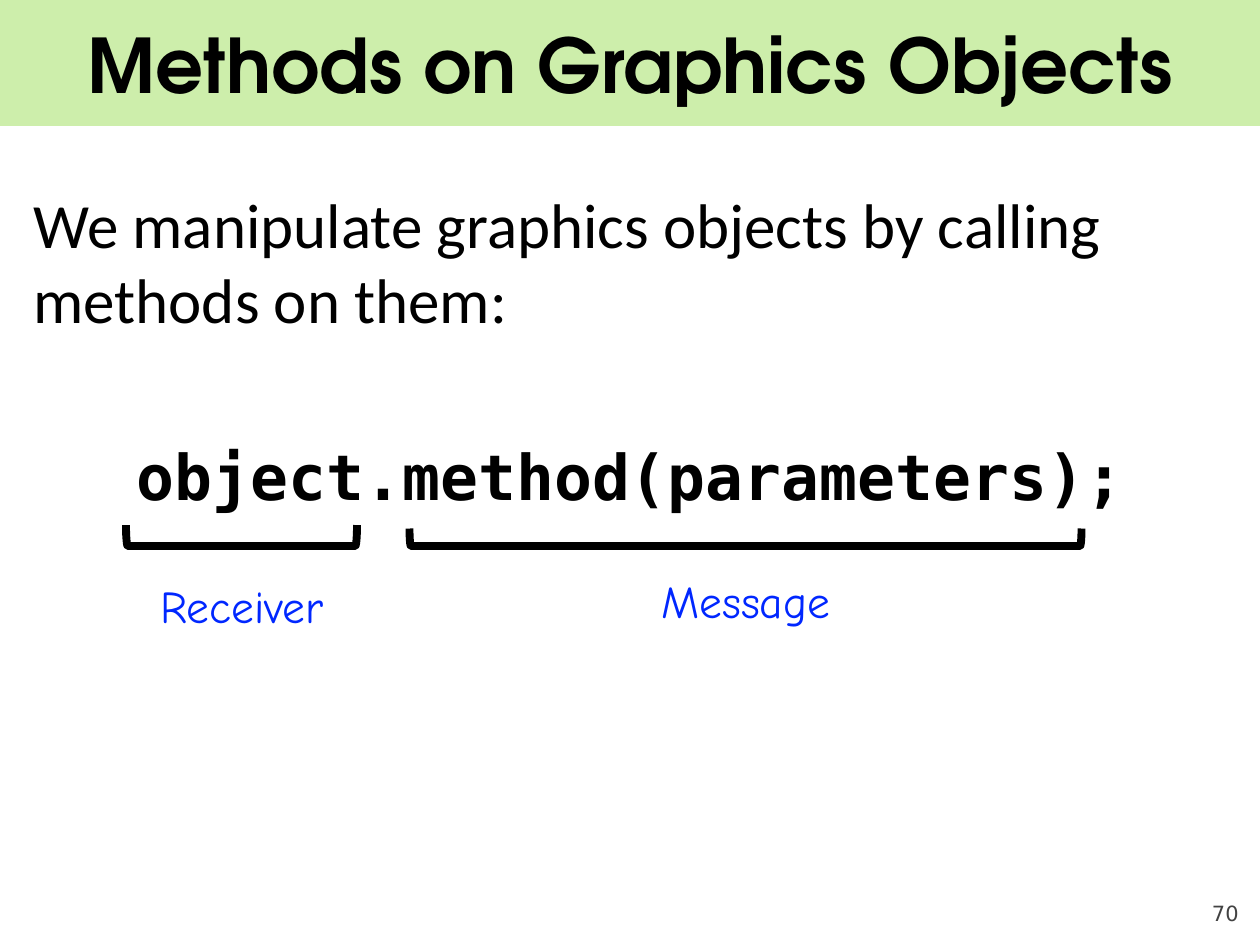
from pptx import Presentation
from pptx.dml.color import RGBColor
from pptx.enum.shapes import MSO_SHAPE as Kind
from pptx.enum.text import MSO_ANCHOR as Anchor, PP_ALIGN as Align
from pptx.util import Pt


def color(code):
    return RGBColor.from_string(code)


def write(para, text, font="Calibri", size=36, ink="000000", bold=False,
          align=Align.LEFT, before=0):
    """Put one formatted run of text in a paragraph."""
    para.alignment = align
    para.space_before = Pt(before)
    run = para.add_run()
    run.text = text
    run.font.name = font
    run.font.size = Pt(size)
    run.font.bold = bold
    run.font.color.rgb = color(ink)


class Page:
    band = "CDEEAB"
    ink = "000000"
    label_style = dict(font="Comic Neue", size=26, ink="0027FF",
                       align=Align.CENTER)

    def __init__(self, deck):
        self.slide = deck.slides.add_slide(deck.slide_layouts[6])

    def shape(self, kind, left, top, width, height):
        item = self.slide.shapes.add_shape(
            kind, Pt(left), Pt(top), Pt(width), Pt(height))
        item.shadow.inherit = False
        return item

    def banner(self, width, height):
        item = self.shape(Kind.RECTANGLE, 0, 0, width, height)
        item.fill.solid()
        item.fill.fore_color.rgb = color(self.band)
        item.line.fill.background()

    def text(self, left, top, width, height, *parts, anchor=Anchor.TOP,
             inset=None):
        """Add a box with one paragraph for each (text, format) pair."""
        box = self.slide.shapes.add_textbox(
            Pt(left), Pt(top), Pt(width), Pt(height))
        frame = box.text_frame
        frame.word_wrap = True
        frame.vertical_anchor = anchor
        if inset is not None:
            frame.margin_left = frame.margin_right = Pt(inset)
            frame.margin_top = frame.margin_bottom = Pt(inset)
        for i, (words, style) in enumerate(parts):
            para = frame.add_paragraph() if i else frame.paragraphs[0]
            write(para, words, **style)

    def bracket(self, left, top, width, height):
        """Draw a bracket that opens upwards, given its visible bounds."""
        item = self.shape(Kind.LEFT_BRACKET, left + (width - height) / 2,
                          top + (height - width) / 2, height, width)
        item.rotation = 270
        item.fill.background()
        item.line.color.rgb = color(self.ink)
        item.line.width = Pt(4.5)

    def label(self, left, top, words):
        self.text(left, top, 167, 39, (words, self.label_style))


def main():
    deck = Presentation()
    deck.slide_width, deck.slide_height = Pt(720), Pt(540)
    page = Page(deck)

    page.banner(720, 72)
    page.text(36, 0, 648, 72,
              ("Methods on Graphics Objects",
               dict(font="TeX Gyre Adventor", size=43, bold=True,
                    align=Align.CENTER)),
              anchor=Anchor.MIDDLE)
    page.text(12, 102.2, 696, 408,
              ("We manipulate graphics objects by calling methods on them:",
               {}),
              ("object.method(parameters);",
               dict(font="DejaVu Sans Mono", bold=True, align=Align.CENTER,
                    before=58)))

    page.bracket(72, 300, 132, 12)
    page.bracket(234, 302, 384, 10)
    page.label(54.7, 327, "Receiver")
    page.label(342.7, 324, "Message")

    page.text(648, 500.4, 59.8, 28.8,
              ("70", dict(font="DejaVu Sans", size=12, ink="424242",
                          align=Align.RIGHT)),
              anchor=Anchor.BOTTOM, inset=0)
    deck.save("out.pptx")


if __name__ == "__main__":
    main()
